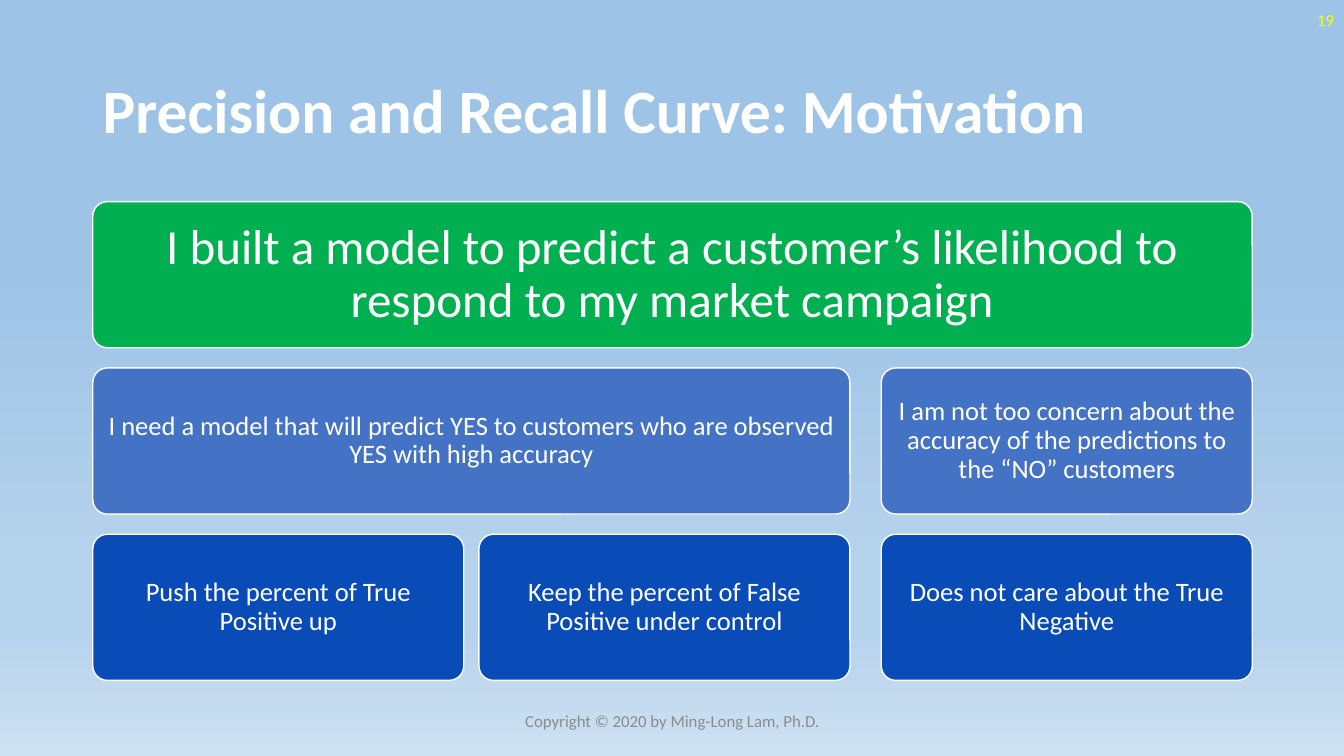
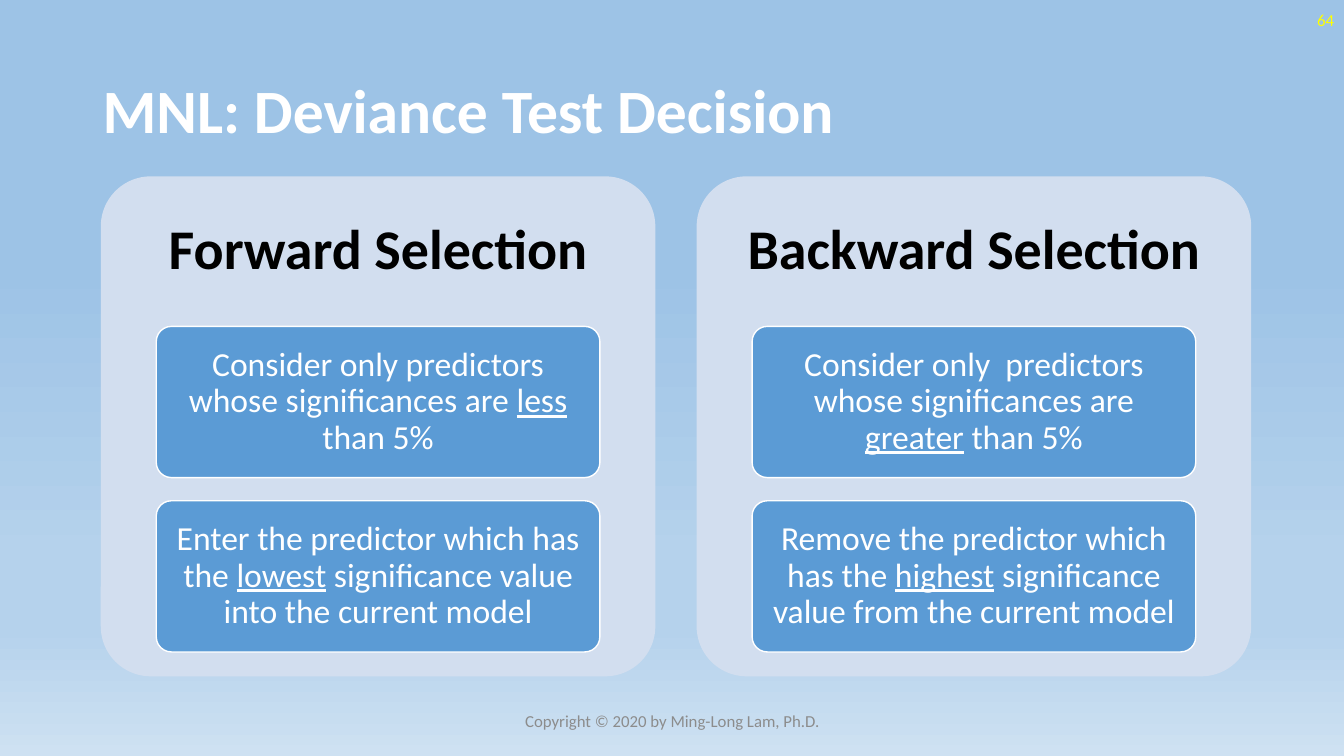
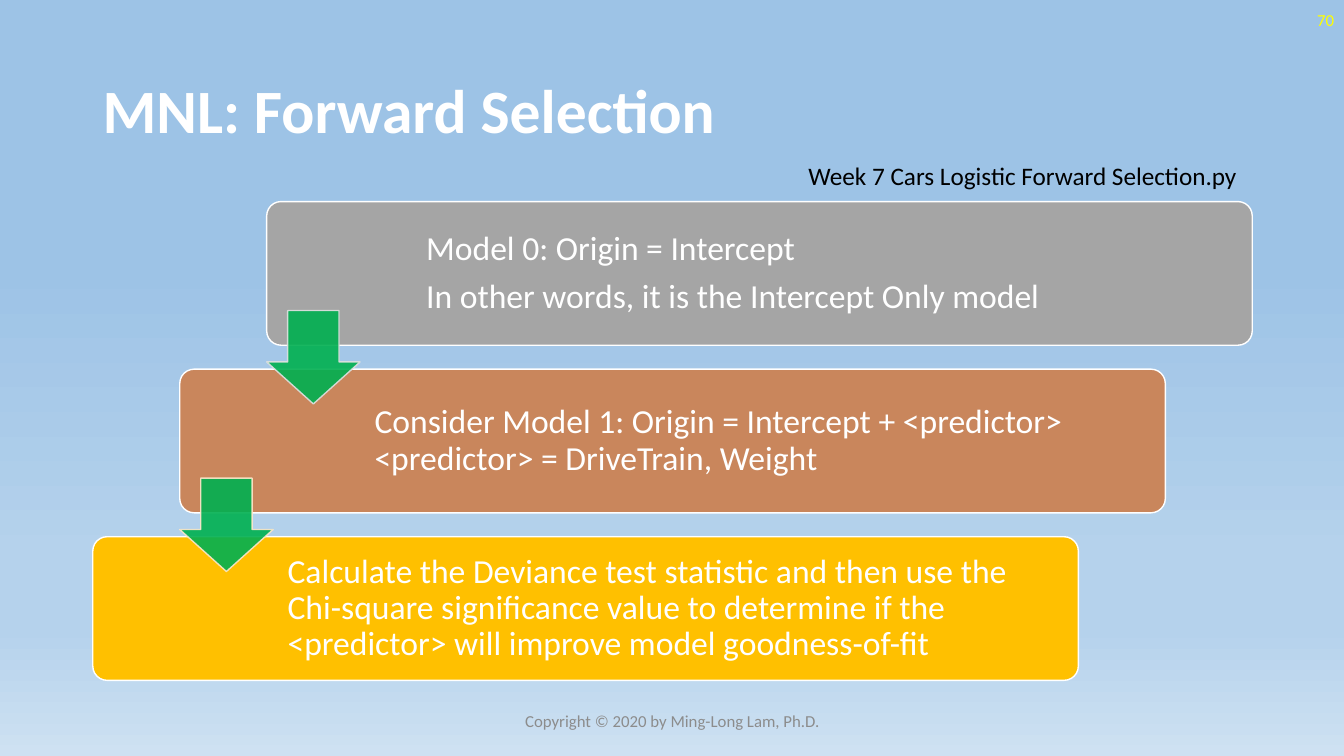
from collections import namedtuple

from lxml.etree import SubElement
from pptx import Presentation
from pptx.dml.color import RGBColor
from pptx.enum.shapes import MSO_SHAPE as Preset
from pptx.enum.text import MSO_ANCHOR as Anchor, PP_ALIGN as Align
from pptx.oxml.ns import qn
from pptx.util import Inches, Pt

Box = namedtuple("Box", "left top width height")

FONT = "Calibri"
WHITE = RGBColor(0xFF, 0xFF, 0xFF)
BLACK = RGBColor(0, 0, 0)
YELLOW = RGBColor(0xFF, 0xFF, 0)
FOOTER_GRAY = RGBColor(0x8C, 0x8C, 0x8C)
GREEN = RGBColor(0, 0xB0, 0x50)
BLUE = RGBColor(0x44, 0x72, 0xC4)
DEEP_BLUE = RGBColor(0x09, 0x4B, 0xB7)
PALE_BLUE = RGBColor(0xD2, 0xDE, 0xEF)
SKY_BLUE = RGBColor(0x5B, 0x9B, 0xD5)
GRAY = RGBColor(0xA5, 0xA5, 0xA5)
COPPER = RGBColor(0xC9, 0x86, 0x5C)
GOLD = RGBColor(0xFF, 0xC0, 0)
LIGHT_GRAY = RGBColor(0xE1, 0xE1, 0xE1)
CREAM = RGBColor(0xFF, 0xE8, 0xCB)
SKY_STOPS = ((35, RGBColor(0x9D, 0xC3, 0xE6)), (74, RGBColor(0xB5, 0xD2, 0xEC)),
             (83, RGBColor(0xB5, 0xD2, 0xEC)), (100, RGBColor(0xCE, 0xE1, 0xF2)))

TITLE_BOX = Box(0.92, 0.4, 11.5, 1.45)
NUMBER_BOX = Box(10.33, 0, 3, 0.4)
FOOTER_BOX = Box(4.42, 6.95, 4.5, 0.4)
CONTENT_BOX = Box(0.92, 2, 11.5, 4.75)
PANELS_BOX = Box(1, 1.75, 11.41, 4.96)
FILE_NAME_BOX = Box(7.92, 1.54, 4.5, 0.4)


def set_text(shape, text, size, color=WHITE, bold=False, align=Align.LEFT,
             anchor=Anchor.MIDDLE, margins=(0.1, 0.05, 0.1, 0.05), spacing=0.9):
    """Each string in text is a paragraph; words between underscores are underlined."""
    frame = shape.text_frame
    frame.word_wrap = True
    frame.vertical_anchor = anchor
    (frame.margin_left, frame.margin_top,
     frame.margin_right, frame.margin_bottom) = map(Inches, margins)
    paragraphs = [text] if isinstance(text, str) else text
    for index, content in enumerate(paragraphs):
        paragraph = frame.add_paragraph() if index else frame.paragraphs[0]
        paragraph.alignment = align
        paragraph.line_spacing = spacing
        if index:
            paragraph.space_before = Pt(0.35 * size)
        for line_index, line in enumerate(content.splitlines()):
            if line_index:
                paragraph.add_line_break()
            for part_index, part in enumerate(line.split("_")):
                run = paragraph.add_run()
                run.text = part
                font = run.font
                font.name, font.size, font.bold = FONT, Pt(size), bold
                font.color.rgb = color
                if part_index % 2:
                    font.underline = True


def add_text(slide, box, text, size, **text_format):
    set_text(slide.shapes.add_textbox(*map(Inches, box)), text, size, **text_format)


def add_preset(slide, preset, box, fill, line=None, adjustments=(0.1,)):
    shape = slide.shapes.add_shape(preset, *map(Inches, box))
    shape.shadow.inherit = False
    for index, value in enumerate(adjustments):
        shape.adjustments[index] = value
    shape.fill.solid()
    shape.fill.fore_color.rgb = fill
    if line is None:
        shape.line.fill.background()
    else:
        shape.line.color.rgb = line
        shape.line.width = Pt(1)
    return shape


def add_card(slide, box, fill, text, size, **text_format):
    card = add_preset(slide, Preset.ROUNDED_RECTANGLE, box, fill, line=WHITE)
    set_text(card, text, size, **text_format)


def add_down_arrow(slide, box, line):
    arrow = add_preset(slide, Preset.DOWN_ARROW, box, GREEN, line, (0.55, 0.45))
    for color in arrow.element.spPr.iter(qn("a:srgbClr")):
        SubElement(color, qn("a:alpha"), val="90000")


def set_background(master):
    fill = master.background.fill
    fill.gradient()
    fill.gradient_angle = 270
    stops = master.element.find(".//" + qn("p:bg")).find(".//" + qn("a:gsLst"))
    stops.clear()
    for percent, color in SKY_STOPS:
        stop = SubElement(stops, qn("a:gs"), pos=str(percent * 1000))
        SubElement(stop, qn("a:srgbClr"), val=str(color))


def add_slide(presentation, title, number):
    slide = presentation.slides.add_slide(presentation.slide_layouts[6])
    add_text(slide, TITLE_BOX, title, 44, bold=True)
    add_text(slide, NUMBER_BOX, number, 12, color=YELLOW, align=Align.RIGHT, spacing=1)
    add_text(slide, FOOTER_BOX, "Copyright © 2020 by Ming-Long Lam, Ph.D.", 12,
             color=FOOTER_GRAY, align=Align.CENTER, spacing=1)
    return slide


def add_hierarchy(slide, box, cards):
    """Each card is (row, first column, last column, fill, size, margin, text)."""
    row_height, row_gap, column_width = 1.45, 0.2, 3.68
    column_starts = (0, 3.83, 7.82)
    for row, first, last, fill, size, margin, text in cards:
        card_box = Box(box.left + column_starts[first],
                       box.top + row * (row_height + row_gap),
                       column_starts[last] + column_width - column_starts[first],
                       row_height)
        add_card(slide, card_box, fill, text, size, align=Align.CENTER,
                 margins=(margin,) * 4)


def add_panel(slide, box, heading, steps):
    add_preset(slide, Preset.ROUNDED_RECTANGLE, box, PALE_BLUE)
    heading_height = 0.3 * box.height
    add_text(slide, box._replace(height=heading_height), heading, 40, color=BLACK,
             bold=True, align=Align.CENTER, margins=(0.17,) * 4)
    step_height, step_gap = 1.5, 0.23
    for index, step in enumerate(steps):
        step_top = box.top + heading_height + index * (step_height + step_gap)
        step_box = Box(box.left + 0.1 * box.width, step_top, 0.8 * box.width, step_height)
        add_card(slide, step_box, SKY_BLUE, step, 24, align=Align.CENTER,
                 margins=(0.07, 0.05, 0.07, 0.05))


def add_staircase(slide, box, steps, arrow_lines):
    """Steps go down to the left, with an arrow across each gap."""
    width, height = 0.85 * box.width, 0.3 * box.height
    shift, pitch = 0.075 * box.width, 0.35 * box.height
    arrow_size = 0.65 * height
    step_boxes = [Box(box.left + (len(steps) - 1 - index) * shift,
                      box.top + index * pitch, width, height)
                  for index in range(len(steps))]
    for step_box, (fill, indent, text) in zip(step_boxes, steps):
        add_card(slide, step_box, fill, text, 24, margins=(indent, 0.1, 0.1, 0.1))
    for step_box, line in zip(step_boxes, arrow_lines):
        gap_middle = step_box.top + (height + pitch) / 2
        add_down_arrow(slide, Box(step_box.left, gap_middle - arrow_size / 2,
                                  arrow_size, arrow_size), line)


def build_motivation(presentation):
    slide = add_slide(presentation, "Precision and Recall Curve: Motivation", "19")
    add_hierarchy(slide, CONTENT_BOX, (
        (0, 0, 2, GREEN, 35, 0.15, "I built a model to predict a customer’s likelihood "
         "to respond to my market campaign"),
        (1, 0, 1, BLUE, 19, 0.08, "I need a model that will predict YES to customers "
         "who are observed YES with high accuracy"),
        (1, 2, 2, BLUE, 19, 0.08, "I am not too concern about the accuracy of the "
         "predictions to the “NO” customers"),
        (2, 0, 0, DEEP_BLUE, 19, 0.08, "Push the percent of True Positive up"),
        (2, 1, 1, DEEP_BLUE, 19, 0.08, "Keep the percent of False Positive under control"),
        (2, 2, 2, DEEP_BLUE, 19, 0.08, "Does not care about the True Negative"),
    ))


def build_decision(presentation):
    slide = add_slide(presentation, "MNL: Deviance Test Decision", "64")
    panels = (
        ("Forward Selection", (
            "Consider only predictors whose significances are _less_ than 5%",
            "Enter the predictor which has the _lowest_ significance value "
            "into the current model")),
        ("Backward Selection", (
            "Consider only  predictors whose significances are _greater_ than 5%",
            "Remove the predictor which has the _highest_ significance value "
            "from the current model")),
    )
    panel_width = 5.5
    pitch = PANELS_BOX.width - panel_width
    for index, (heading, steps) in enumerate(panels):
        panel_box = PANELS_BOX._replace(left=PANELS_BOX.left + index * pitch,
                                        width=panel_width)
        add_panel(slide, panel_box, heading, steps)


def build_forward_selection(presentation):
    slide = add_slide(presentation, "MNL: Forward Selection", "70")
    add_staircase(slide, CONTENT_BOX, (
        (GRAY, 1.54, ("Model 0: Origin = Intercept",
                      "In other words, it is the Intercept Only model")),
        (COPPER, 1.89, "Consider Model 1: Origin = Intercept + <predictor>\n"
                       "<predictor> = DriveTrain, Weight"),
        (GOLD, 1.89, "Calculate the Deviance test statistic and then use the "
                     "Chi-square significance value to determine if the <predictor> "
                     "will improve model goodness-of-fit"),
    ), (LIGHT_GRAY, CREAM))
    add_text(slide, FILE_NAME_BOX, "Week 7 Cars Logistic Forward Selection.py", 18,
             color=BLACK, anchor=Anchor.TOP, spacing=1)


def main():
    presentation = Presentation()
    presentation.slide_width, presentation.slide_height = Inches(13.33), Inches(7.5)
    set_background(presentation.slide_master)
    build_motivation(presentation)
    build_decision(presentation)
    build_forward_selection(presentation)
    presentation.save("out.pptx")


if __name__ == "__main__":
    main()
